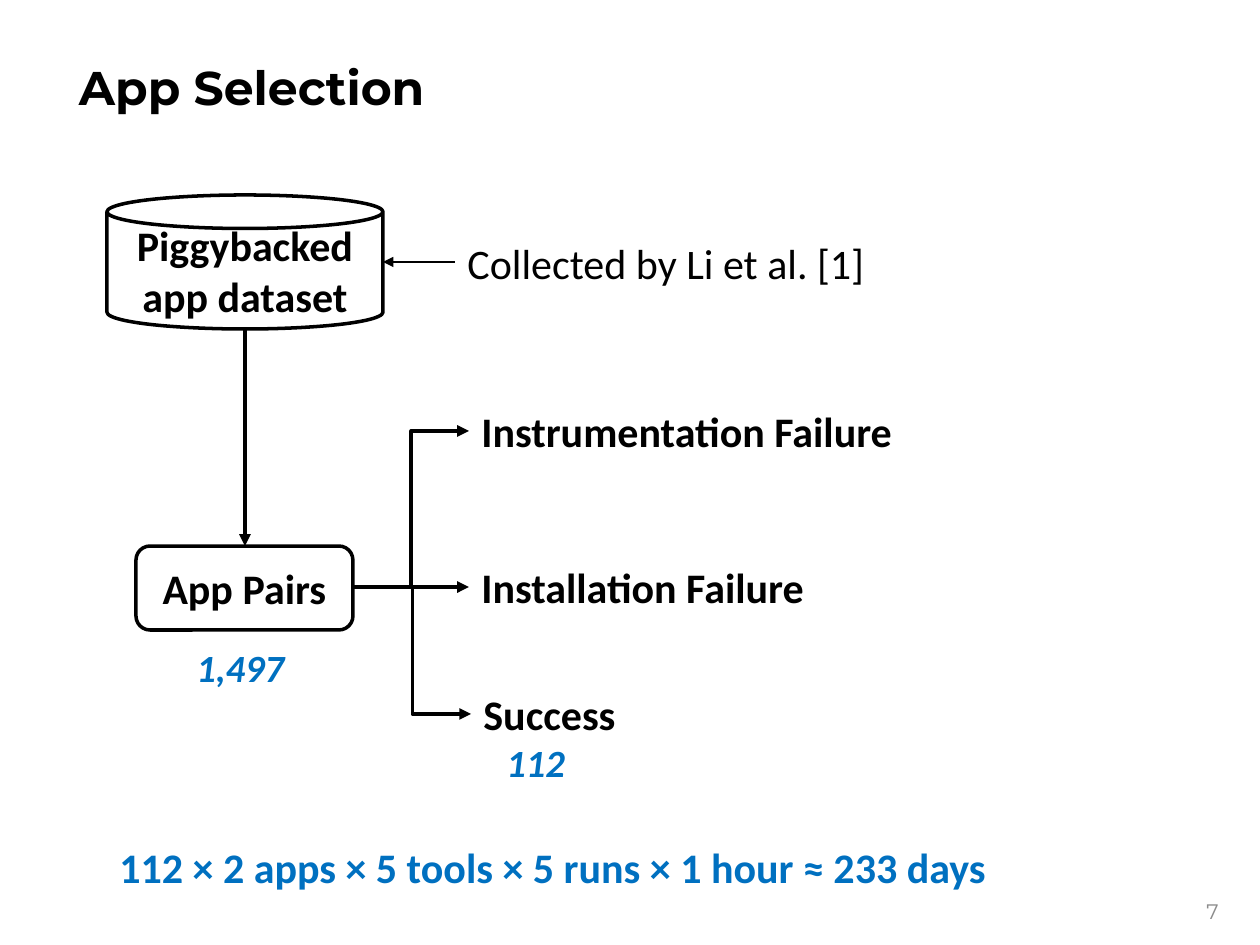
from pptx import Presentation
from pptx.dml.color import RGBColor
from pptx.enum.shapes import MSO_CONNECTOR as Connector, MSO_SHAPE as Shape
from pptx.enum.text import MSO_ANCHOR as Anchor, MSO_AUTO_SIZE as AutoSize, PP_ALIGN as Align
from pptx.oxml.ns import qn
from pptx.util import Emu, Pt
from lxml.etree import SubElement

BLACK = RGBColor(0x00, 0x00, 0x00)
BLUE = RGBColor(0x00, 0x70, 0xC0)
GRAY = RGBColor(0x8C, 0x8C, 0x8C)
HEADING_FONT = "Montserrat"
BODY_FONT = "Calibri"
PX_PER_INCH = 126


def px(length):
    return Emu(round(length * 914400 / PX_PER_INCH))


def write_text(frame, text, size=24, font=BODY_FONT, color=BLACK, bold=True,
               italic=False, align=Align.LEFT, anchor=Anchor.TOP):
    frame.vertical_anchor = anchor
    paragraph = frame.paragraphs[0]
    paragraph.alignment = align
    run = paragraph.add_run()
    run.text = text
    run.font.name = font
    run.font.size = Pt(size)
    run.font.bold = bold
    run.font.italic = italic
    run.font.color.rgb = color


class SlideBuilder:
    def __init__(self, slide, line_color=BLACK):
        self.slide = slide
        self.line_color = line_color

    def label(self, text, left, top, width, height, wrap=False, **style):
        box = self.slide.shapes.add_textbox(*map(px, (left, top, width, height)))
        frame = box.text_frame
        frame.word_wrap = wrap
        frame.auto_size = AutoSize.SHAPE_TO_FIT_TEXT
        write_text(frame, text, **style)
        return box

    def title(self, text, left, top, width, height):
        box = self.label(text, left, top, width, height, wrap=True, size=27,
                         font=HEADING_FONT, anchor=Anchor.MIDDLE)
        frame = box.text_frame
        frame.auto_size = AutoSize.NONE
        frame.margin_left = frame.margin_right = px(16)
        frame.margin_top = frame.margin_bottom = px(9)

    def node(self, kind, text, left, top, width, height):
        shape = self.slide.shapes.add_shape(kind, *map(px, (left, top, width, height)))
        shape.shadow.inherit = False
        shape.fill.background()
        shape.line.color.rgb = self.line_color
        shape.line.width = Pt(2)
        shape.text_frame.word_wrap = True
        write_text(shape.text_frame, text, align=Align.CENTER, anchor=Anchor.MIDDLE)

    def arrow(self, start, end, kind=Connector.STRAIGHT, weight=2.25):
        connector = self.slide.shapes.add_connector(kind, *map(px, (*start, *end)))
        connector.line.color.rgb = self.line_color
        connector.line.width = Pt(weight)
        SubElement(connector.line._get_or_add_ln(), qn("a:tailEnd"), type="triangle")
        SubElement(connector._element.spPr, qn("a:effectLst"))


def main():
    presentation = Presentation()
    presentation.slide_width = px(1260)
    presentation.slide_height = px(945)
    slide = presentation.slides.add_slide(presentation.slide_layouts[6])
    builder = SlideBuilder(slide)

    # Page number and title
    builder.label("7", 1194, 892, 53, 38, size=12, font=HEADING_FONT, color=GRAY, bold=False)
    builder.title("App Selection", 63, 38, 1134, 98)

    # Dataset and its source
    builder.node(Shape.CAN, "Piggybacked app dataset", 107, 195, 276, 134)
    builder.label("Collected by Li et al. [1]", 455, 231, 435, 63, bold=False)
    builder.arrow((455, 262), (383, 262), weight=1.5)

    # App pairs
    builder.node(Shape.ROUNDED_RECTANGLE, "App Pairs", 136, 546, 217, 84)
    builder.arrow((245, 329), (245, 546))

    # Outcomes, each reached by an arrow from the app pairs
    outcomes = [
        ("Instrumentation Failure", 469, 431, 441, Connector.ELBOW),
        ("Installation Failure", 469, 587, 352, Connector.STRAIGHT),
        ("Success", 471, 714, 159, Connector.ELBOW),
    ]
    for text, left, middle, width, kind in outcomes:
        builder.label(text, left, middle - 32, width, 63)
        builder.arrow((354, 587), (left, middle), kind)

    # Counts and total running time
    for text, left, top, width in [("1,497", 184, 638, 123), ("112", 494, 733, 84)]:
        builder.label(text, left, top, width, 59, size=22, color=BLUE, italic=True)
    builder.label("112 × 2 apps × 5 tools × 5 runs × 1 hour ≈ 233 days",
                  107, 835, 930, 63, wrap=True, color=BLUE)

    presentation.save("out.pptx")


if __name__ == "__main__":
    main()
